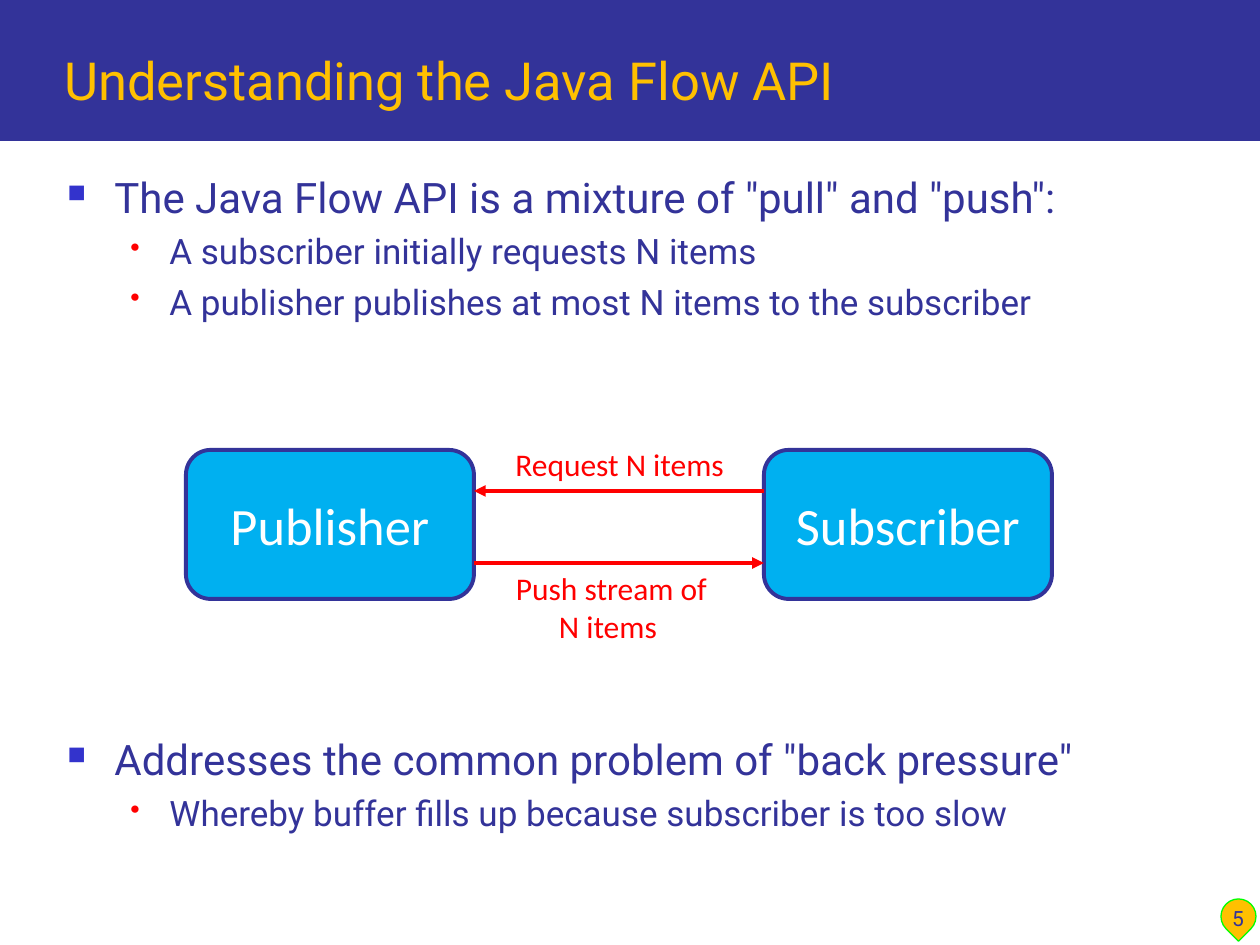
from lxml import etree
from pptx import Presentation
from pptx.dml.color import RGBColor
from pptx.enum.shapes import MSO_CONNECTOR, MSO_SHAPE
from pptx.enum.text import MSO_ANCHOR, PP_ALIGN
from pptx.oxml.ns import qn
from pptx.util import Pt

PX = 914400 // 126
RECT, ROUNDED, TEARDROP = MSO_SHAPE.RECTANGLE, MSO_SHAPE.ROUNDED_RECTANGLE, MSO_SHAPE.TEAR
STRAIGHT = MSO_CONNECTOR.STRAIGHT
TOP, MIDDLE, BOTTOM = MSO_ANCHOR.TOP, MSO_ANCHOR.MIDDLE, MSO_ANCHOR.BOTTOM
LEFT, CENTER = PP_ALIGN.LEFT, PP_ALIGN.CENTER
COLORS = {"navy": "333399", "gold": "FFC000", "green": "00FF00", "white": "FFFFFF",
          "sky": "00B0F0", "red": "FF0000", "bullet": "3333CC"}
# level: text size, space before, left margin, hanging indent, bullet, colour, bullet size
LEVELS = [(24, 11, 47, 47, "■", "bullet", 60), (20, 4.7, 102, 39, "•", "red", 80)]
BULLETS = [
    (0, 'The Java Flow API is a mixture of "pull" and "push":', None),
    (1, "A subscriber initially requests N items", None),
    (1, "A publisher publishes at most N items to the subscriber", None),
    (0, 'Addresses the common problem of "back pressure"', 235),
    (1, "Whereby buffer fills up because subscriber is too slow", None),
]


def px(*lengths):
    """Turn pixel lengths into EMU."""
    return [round(n * PX) for n in lengths]


def rgb(name):
    """Look up a named colour."""
    return RGBColor.from_string(COLORS[name])


def add_run(p, text, size, color, font="Roboto"):
    """Append one formatted run to a paragraph."""
    r = p.add_run()
    r.text = text
    r.font.size, r.font.name = Pt(size), font
    r.font.color.rgb = rgb(color)


def add_lines(tf, lines, size, color, font="Roboto", align=LEFT, anchor=TOP):
    """Fill a text frame with one paragraph of broken lines."""
    tf.vertical_anchor = anchor
    p = tf.paragraphs[0]
    p.alignment = align
    for i, line in enumerate(lines):
        if i:
            p.add_line_break()
        add_run(p, line, size, color, font)


def add_text(s, box, lines, size, color, wrap=True, **style):
    """Add a text box."""
    tf = s.shapes.add_textbox(*px(*box)).text_frame
    tf.word_wrap = wrap
    add_lines(tf, lines, size, color, **style)


def add_box(s, kind, box, fill, line=None, width=1):
    """Add a flat filled shape with an optional outline."""
    sp = s.shapes.add_shape(kind, *px(*box))
    sp.shadow.inherit = False
    sp.fill.solid()
    sp.fill.fore_color.rgb = rgb(fill)
    if line:
        sp.line.color.rgb = rgb(line)
        sp.line.width = Pt(width)
    else:
        sp.line.fill.background()
    return sp


def add_arrow(s, x1, x2, y):
    """Add a horizontal red arrow from x1 to x2."""
    cx = s.shapes.add_connector(STRAIGHT, *px(x1, y, x2, y))
    cx.line.color.rgb = rgb("red")
    cx.line.width = Pt(2.25)
    etree.SubElement(cx.line._get_or_add_ln(), qn("a:tailEnd"), type="triangle")
    etree.SubElement(cx._element.spPr, qn("a:effectLst"))


def add_header(s, x, y, w, h):
    """Draw the title band and its title."""
    add_box(s, RECT, (x, y, w, h), "navy")
    add_text(s, (x + 52, y + 21, w - 82, 96), ["Understanding the Java Flow API"],
             30, "gold", anchor=BOTTOM)


def add_bullets(s, x, y, w, h):
    """Write the two-level bullet list."""
    tf = s.shapes.add_textbox(*px(x, y, w, h)).text_frame
    tf.word_wrap = True
    for i, (level, text, gap) in enumerate(BULLETS):
        size, before, margin, hang, char, color, percent = LEVELS[level]
        p = tf.paragraphs[0] if i == 0 else tf.add_paragraph()
        p.level = level
        p.space_before = Pt(gap or before if i else 0)
        pPr = p._p.get_or_add_pPr()
        left, indent = px(margin, -hang)
        pPr.set("marL", str(left))
        pPr.set("indent", str(indent))
        clr = etree.SubElement(pPr, qn("a:buClr"))
        etree.SubElement(clr, qn("a:srgbClr"), val=COLORS[color])
        etree.SubElement(pPr, qn("a:buSzPct"), val=str(percent * 1000))
        etree.SubElement(pPr, qn("a:buChar"), char=char)
        add_run(p, text, size, "navy")


def add_flow(s, x, y, w, h):
    """Draw publisher and subscriber with the two messages between them."""
    node_w = 288
    right = x + w - node_w
    for node_x, name in ((x, "Publisher"), (right, "Subscriber")):
        sp = add_box(s, ROUNDED, (node_x, y, node_w, h), "sky", "navy", 2.25)
        add_lines(sp.text_frame, [name], 30, "white", "Calibri", CENTER, MIDDLE)
        sp.text_frame.word_wrap = False
    add_arrow(s, right, x + node_w, y + 41)
    add_arrow(s, x + node_w, right, y + 113)
    add_text(s, (x + 317, y - 11, 237, 50), ["Request N items"], 18, "red",
             wrap=False, font="Calibri")
    add_text(s, (x + 316, y + 113, 219, 89), ["Push stream of", "N items "], 18, "red",
             wrap=False, font="Calibri", align=CENTER)


def add_page_number(s, x, y, w, h):
    """Draw the drop-shaped badge with the slide number."""
    sp = add_box(s, TEARDROP, (x + 19, y + 25, 35, 35), "gold", "green", 0.75)
    sp.rotation = 134.9
    add_text(s, (x, y, w, h), ["5"], 12, "navy", align=CENTER, anchor=BOTTOM)


def build():
    """Build the slide and save it."""
    prs = Presentation()
    prs.slide_width, prs.slide_height = px(1260, 945)
    s = prs.slides.add_slide(prs.slide_layouts[6])
    add_header(s, 0, 0, 1260, 141)
    add_bullets(s, 55, 165, 1169, 680)
    add_flow(s, 186, 450, 866, 149)
    add_page_number(s, 1202, 874, 72, 63)
    prs.save("out.pptx")


build()
